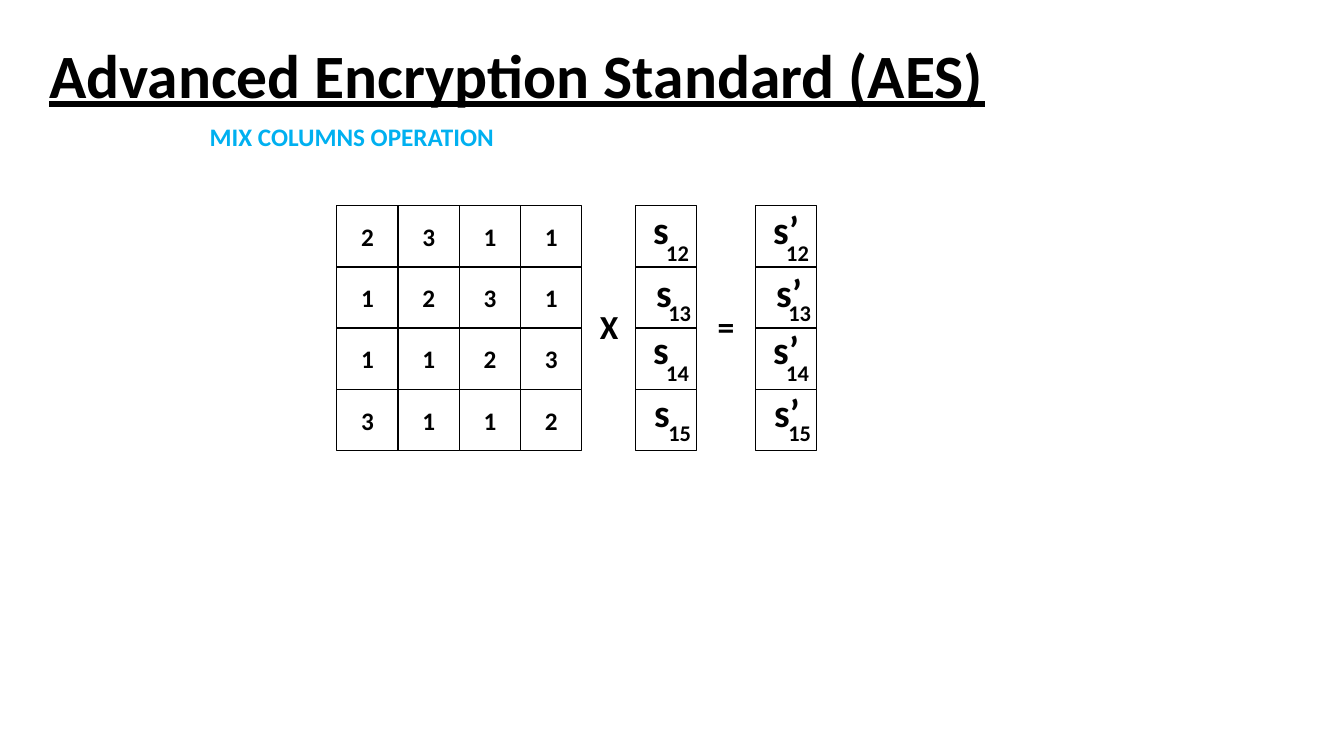
from pptx import Presentation
from pptx.dml.color import RGBColor
from pptx.enum import shapes, text
from pptx.util import Inches, Pt

COLORS = {"ink": "000000", "paper": "FFFFFF", "accent": "00B0F0"}
FONT = "Calibri"
TOP = 2.04
CELL = 2.43 / 4
MATRIX = ["2311", "1231", "1123", "3112"]
INDICES = ["12", "13", "14", "15"]
LETTER_SPOTS = [(0.08, 1.99), (0.11, 2.61), (0.08, 3.18), (0.09, 3.8)]
INDEX_SPOTS = [(0.21, 2.32), (0.23, 2.92), (0.21, 3.51), (0.23, 4.11)]


def color(name):
    return RGBColor.from_string(COLORS[name])


def add_run(p, words, size, name="ink"):
    r = p.add_run()
    r.text = words
    r.font.name = FONT
    r.font.size = Pt(size)
    r.font.bold = True
    r.font.color.rgb = color(name)
    return r


def add_title(s, words):
    box = s.shapes.add_textbox(Inches(0.39), Inches(0.05), Inches(11.5), Inches(1.45))
    tf = box.text_frame
    tf.word_wrap = True
    tf.vertical_anchor = text.MSO_ANCHOR.MIDDLE
    p = tf.paragraphs[0]
    p.line_spacing = 0.9
    add_run(p, words, 44).font.underline = True


def add_label(s, x, y, w, h, words, size, name="ink"):
    box = s.shapes.add_textbox(Inches(x), Inches(y), Inches(w), Inches(h))
    tf = box.text_frame
    tf.word_wrap = False
    tf.auto_size = text.MSO_AUTO_SIZE.SHAPE_TO_FIT_TEXT
    add_run(tf.paragraphs[0], words, size, name)


def add_cell(s, x, row, words=""):
    sp = s.shapes.add_shape(shapes.MSO_SHAPE.RECTANGLE, Inches(x),
                            Inches(TOP + row * CELL), Inches(CELL), Inches(CELL))
    sp.shadow.inherit = False
    sp.fill.solid()
    sp.fill.fore_color.rgb = color("paper")
    sp.line.color.rgb = color("ink")
    sp.line.width = Pt(1)
    if words:
        tf = sp.text_frame
        tf.vertical_anchor = text.MSO_ANCHOR.MIDDLE
        p = tf.paragraphs[0]
        p.alignment = text.PP_ALIGN.CENTER
        add_run(p, words, 18)


def add_matrix(s, x):
    for row, digits in enumerate(MATRIX):
        for col, digit in enumerate(digits):
            add_cell(s, x + col * CELL, row, digit)


def add_state_column(s, x, letter, letter_width):
    for row in range(len(INDICES)):
        add_cell(s, x, row)
    for index, (dx, y), (index_dx, index_y) in zip(INDICES, LETTER_SPOTS, INDEX_SPOTS):
        add_label(s, x + dx, y, letter_width, 0.57, letter, 28)
        add_label(s, x + index_dx, index_y, 0.43, 0.37, index, 16)


def main():
    prs = Presentation()
    prs.slide_width = Inches(13.33)
    prs.slide_height = Inches(7.5)
    s = prs.slides.add_slide(prs.slide_layouts[6])
    add_title(s, "Advanced Encryption Standard (AES)")
    add_label(s, 1.98, 1.15, 3.05, 0.4, "MIX COLUMNS OPERATION", 18, "accent")
    add_matrix(s, 3.34)
    add_label(s, 5.85, 2.99, 0.38, 0.5, "X", 24)
    add_state_column(s, 6.3, "s", 0.36)
    add_label(s, 7.02, 2.99, 0.37, 0.5, "=", 24)
    add_state_column(s, 7.49, "s’", 0.46)
    prs.save("out.pptx")


if __name__ == "__main__":
    main()
